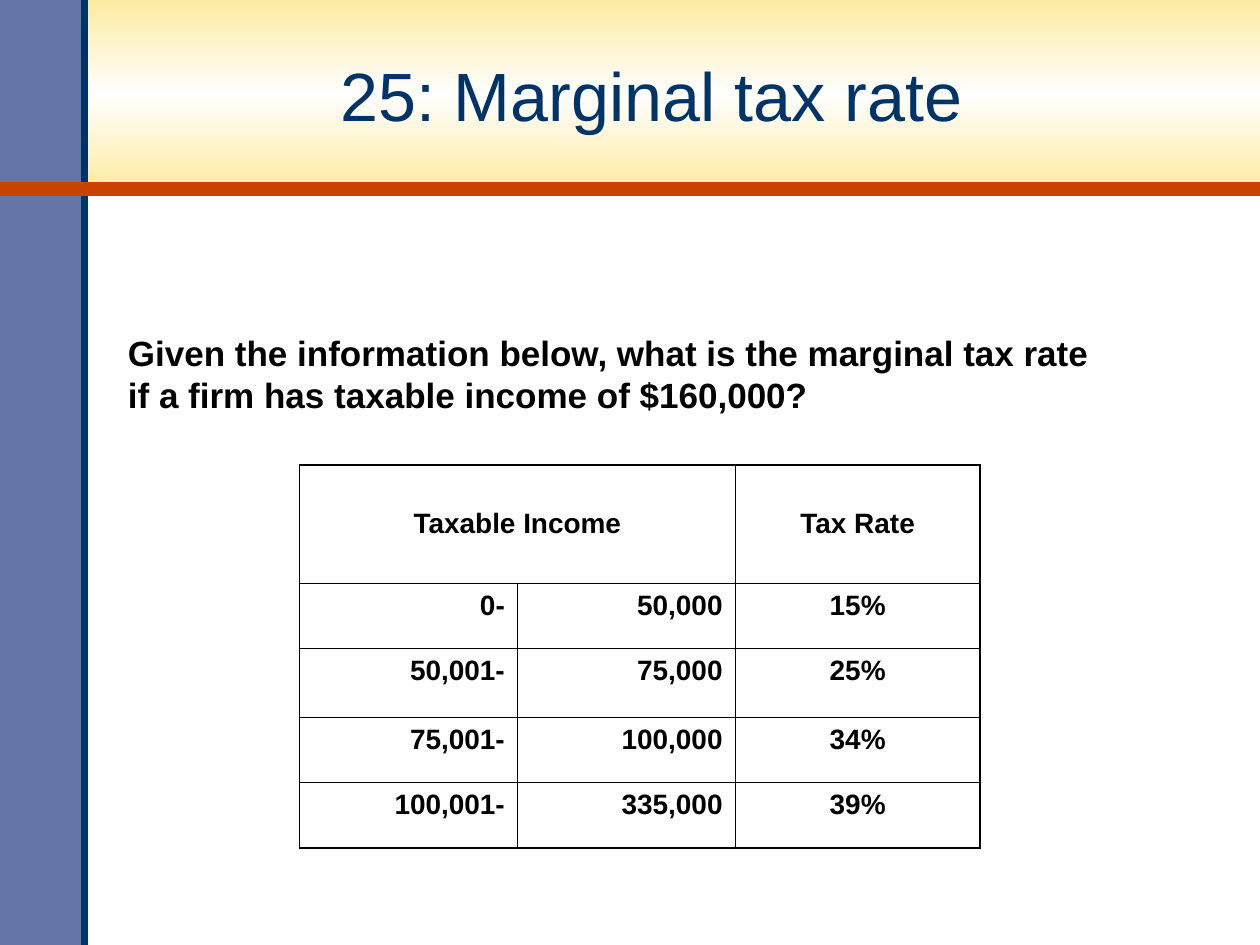
from copy import deepcopy

from lxml import etree
from pptx import Presentation
from pptx import util as u
from pptx.dml.color import RGBColor
from pptx.enum import shapes, text
from pptx.oxml.ns import qn

NAVY = RGBColor(0x00, 0x33, 0x66)
SLATE = RGBColor(0x64, 0x75, 0xA6)
RUST = RGBColor(0xC8, 0x43, 0x00)
CREAM = RGBColor(0xFD, 0xEB, 0xA1)
PALE = RGBColor(0xFE, 0xFE, 0xFE)
BLACK = RGBColor(0, 0, 0)

SLIDE_W, SLIDE_H = u.Cm(25.4), u.Cm(19.05)
BANNER_H, SIDEBAR_W = u.Cm(3.81), u.Cm(1.7)
OUTER, INNER = u.Pt(1.08), u.Pt(0.45)

BRACKETS = [
    ("0-", "50,000", "15%"),
    ("50,001-", "75,000", "25%"),
    ("75,001-", "100,000", "34%"),
    ("100,001-", "335,000", "39%"),
]


def add_block(slide, left, top, width, height):
    block = slide.shapes.add_shape(
        shapes.MSO_SHAPE.RECTANGLE, left, top, width, height)
    block.shadow.inherit = False
    block.line.fill.background()
    return block


def add_rule(slide, x1, y1, x2, y2, color, weight):
    rule = slide.shapes.add_connector(
        shapes.MSO_CONNECTOR.STRAIGHT, x1, y1, x2, y2)
    rule.line.color.rgb = color
    rule.line.width = u.Pt(weight)
    etree.SubElement(rule._element.spPr, qn("a:effectLst"))


def write(paragraph, words, size, color, align, bold=False):
    paragraph.alignment = align
    run = paragraph.add_run()
    run.text = words
    run.font.name = "Arial"
    run.font.size = u.Pt(size)
    run.font.bold = bold
    run.font.color.rgb = color


def add_frame(slide, left, top, width, height):
    banner = add_block(slide, left, top, width, BANNER_H)
    banner.fill.gradient()
    banner.fill.gradient_angle = 90
    first, last = banner.fill.gradient_stops
    first.color.rgb = last.color.rgb = CREAM
    first.position, last.position = 0, 1
    # A pale third stop in the middle of the banner
    stop_list = banner._element.spPr.find(qn("a:gradFill")).find(qn("a:gsLst"))
    stop_list.insert(1, deepcopy(stop_list[0]))
    middle = banner.fill.gradient_stops[1]
    middle.position, middle.color.rgb = 0.5, PALE

    sidebar = add_block(slide, left, top, SIDEBAR_W, height)
    sidebar.fill.solid()
    sidebar.fill.fore_color.rgb = SLATE
    edge, base = left + SIDEBAR_W, top + BANNER_H
    add_rule(slide, edge, top + height, edge, top, NAVY, 4)
    add_rule(slide, left, base, left + width, base, RUST, 8)


def add_title(slide, left, top, width, height):
    frame = slide.shapes.add_textbox(left, top, width, height).text_frame
    frame.word_wrap = True
    frame.vertical_anchor = text.MSO_ANCHOR.MIDDLE
    write(frame.paragraphs[0], "25: Marginal tax rate", 39, NAVY,
          text.PP_ALIGN.CENTER)


def add_question(slide, left, top, width, height):
    frame = slide.shapes.add_textbox(left, top, width, height).text_frame
    frame.word_wrap = True
    lines = ("Given the information below, what is the marginal tax rate",
             "if a firm has taxable income of $160,000?")
    for number, line in enumerate(lines):
        paragraph = frame.add_paragraph() if number else frame.paragraphs[0]
        write(paragraph, line, 20, BLACK, text.PP_ALIGN.LEFT, bold=True)


def set_borders(cell, **weights):
    properties = cell._tc.get_or_add_tcPr()
    for side in "LRTB":
        line = etree.SubElement(properties, qn(f"a:ln{side}"),
                                w=str(int(weights[side])))
        fill = etree.SubElement(line, qn("a:solidFill"))
        etree.SubElement(fill, qn("a:srgbClr"), val=str(BLACK))


def add_tax_table(slide, left, top, width, height):
    rows, cols = len(BRACKETS) + 1, 3
    table = slide.shapes.add_table(rows, cols, left, top, width, height).table
    table.first_row = table.horz_banding = False
    # Column and row sizes as shares of the box
    for column, share in zip(table.columns, (0.32, 0.32, 0.36)):
        column.width = int(width * share)
    for row, share in zip(table.rows, (0.31, 0.17, 0.18, 0.17, 0.17)):
        row.height = int(height * share)

    # Heavier lines around the outside
    for r in range(rows):
        for c in range(cols):
            cell = table.cell(r, c)
            set_borders(cell,
                        L=INNER if c else OUTER,
                        R=OUTER if c == cols - 1 else INNER,
                        T=INNER if r else OUTER,
                        B=OUTER if r == rows - 1 else INNER)
            cell.fill.background()

    # Headings
    table.cell(0, 0).merge(table.cell(0, 1))
    for c, heading in ((0, "Taxable Income"), (2, "Tax Rate")):
        cell = table.cell(0, c)
        cell.vertical_anchor = text.MSO_ANCHOR.MIDDLE
        write(cell.text_frame.paragraphs[0], heading, 16, BLACK,
              text.PP_ALIGN.CENTER, bold=True)

    # Income brackets and their rates
    aligns = (text.PP_ALIGN.RIGHT, text.PP_ALIGN.RIGHT, text.PP_ALIGN.CENTER)
    for r, bracket in enumerate(BRACKETS, start=1):
        for c, (value, align) in enumerate(zip(bracket, aligns)):
            write(table.cell(r, c).text_frame.paragraphs[0], value, 16, BLACK,
                  align, bold=True)


def main():
    deck = Presentation()
    deck.slide_width, deck.slide_height = SLIDE_W, SLIDE_H
    slide = deck.slides.add_slide(deck.slide_layouts[6])
    add_frame(slide, 0, 0, SLIDE_W, SLIDE_H)
    add_title(slide, u.Cm(1.65), u.Cm(0.38), u.Cm(22.96), u.Cm(3.05))
    add_tax_table(slide, u.Cm(6.04), u.Cm(9.37), u.Cm(13.72), u.Cm(7.72))
    add_question(slide, u.Cm(2.33), u.Cm(6.55), u.Cm(24.2), u.Cm(1.96))
    deck.save("out.pptx")


if __name__ == "__main__":
    main()
